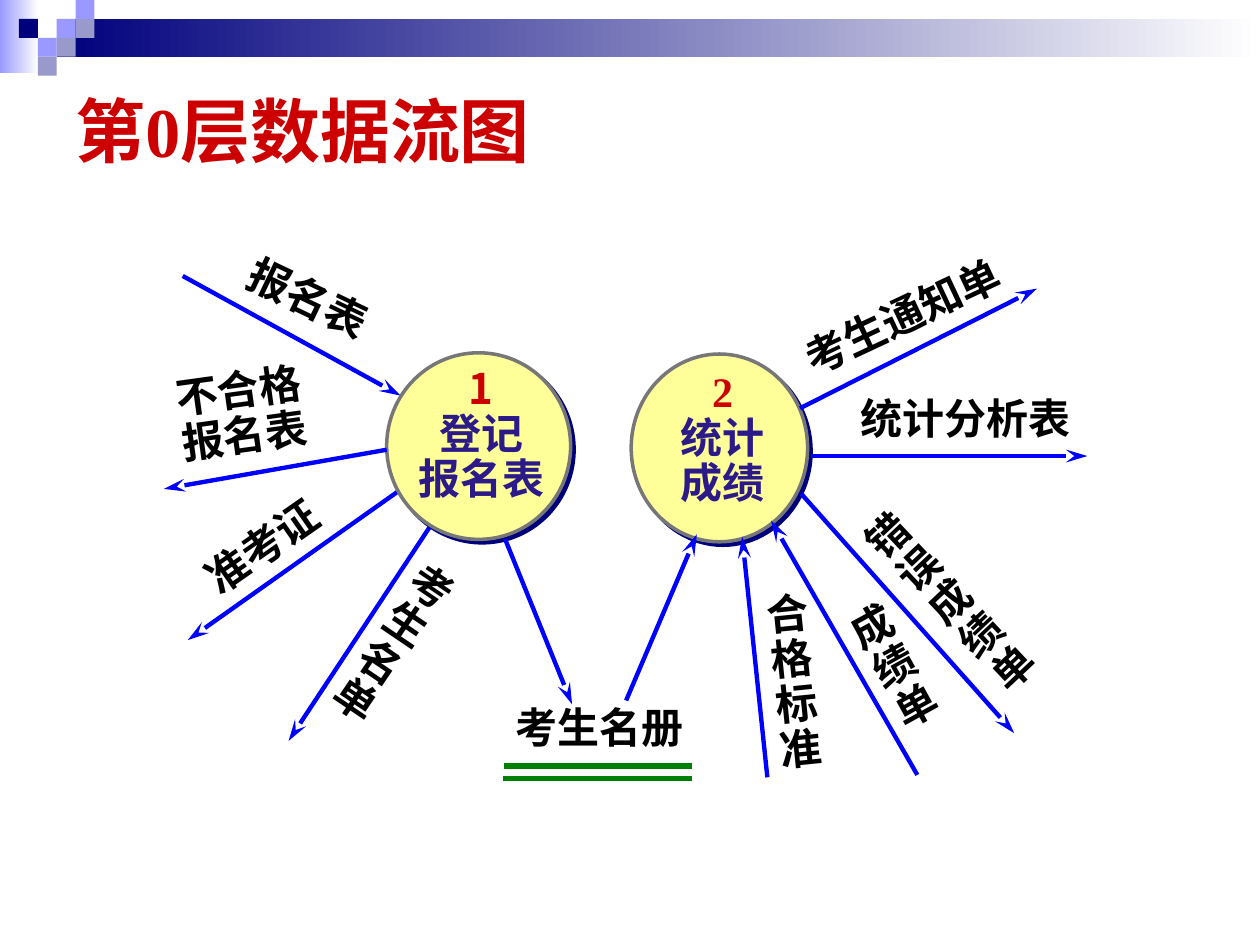
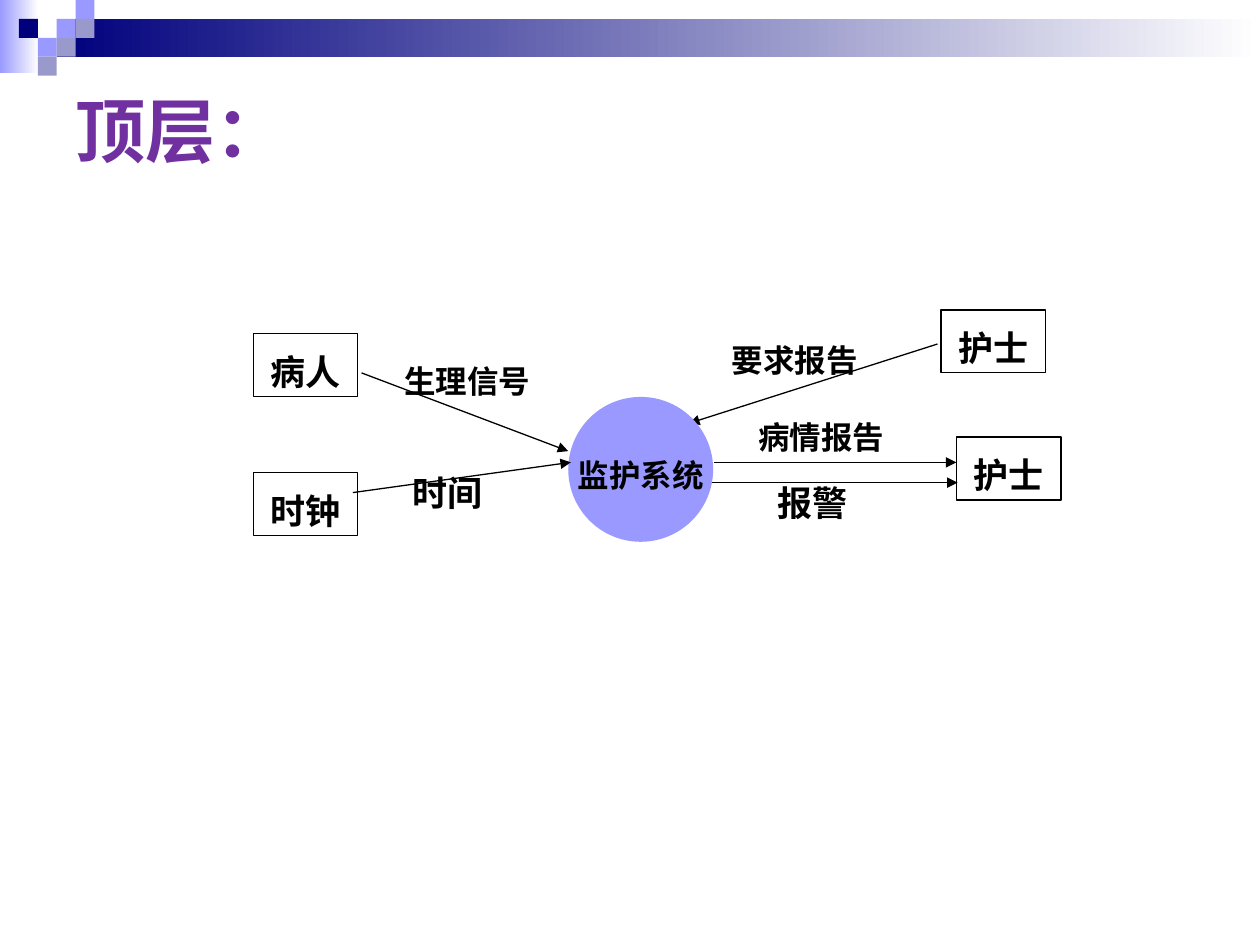
from dataclasses import dataclass
from typing import NamedTuple

from lxml import etree
from pptx import Presentation
from pptx.dml.color import RGBColor
from pptx.enum.shapes import MSO_CONNECTOR, MSO_SHAPE
from pptx.enum.text import MSO_ANCHOR, PP_ALIGN
from pptx.oxml.ns import qn
from pptx.util import Pt

RECT, OVAL = MSO_SHAPE.RECTANGLE, MSO_SHAPE.OVAL
LINE = MSO_CONNECTOR.STRAIGHT
LEFT, MID = PP_ALIGN.LEFT, PP_ALIGN.CENTER
TOP, CENTRE = MSO_ANCHOR.TOP, MSO_ANCHOR.MIDDLE

SANS, GOTHIC, SERIF = "Noto Sans CJK SC", "Noto Sans CJK JP", "Times New Roman"
NAVY, LILAC, GREY = "00007D", "9999FF", "9999CC"
WHITE, BLACK, RED, PURPLE = "FFFFFF", "000000", "CC0000", "7030A0"
BLUE, GREEN, INDIGO = "0000FF", "008000", "2C1A88"
YELLOW, RIM = "FFFF99", "777777"
UNIT = 10.8  # side of one square in the corner mosaic


class Box(NamedTuple):
    x: float
    y: float
    w: float
    h: float


class Run(NamedTuple):
    text: str
    font: str = SANS
    color: str = BLACK


@dataclass
class Label:
    box: Box
    lines: list[Run]
    size: float = 24
    turn: float = 0
    align: int = LEFT
    anchor: int = TOP
    space: float = 0.9
    before: float = 0
    wrap: bool = True


@dataclass
class Pen:
    color: str
    width: float
    tip: str = ""
    reach: str = "med"


@dataclass
class Node:
    box: Box
    kind: int
    fill: str = ""
    edge: str = ""
    width: float = 0.75
    shade: bool = False


FLOW = Pen(BLUE, 2.5, "stealth", "lg")
STORE = Pen(GREEN, 3)
THIN = Pen(BLACK, 0.75, "triangle")


def rgb(code: str) -> RGBColor:
    return RGBColor.from_string(code)


def pts(values) -> list:
    return [Pt(v) for v in values]


def write(shape, label: Label) -> None:
    frame = shape.text_frame
    frame.word_wrap = label.wrap
    frame.vertical_anchor = label.anchor
    frame.margin_left = frame.margin_right = Pt(7.2)
    frame.margin_top = frame.margin_bottom = Pt(3.6)
    for i, item in enumerate(label.lines):
        para = frame.add_paragraph() if i else frame.paragraphs[0]
        para.alignment = label.align
        para.line_spacing = label.space
        para.space_before = Pt(label.before * label.size)
        run = para.add_run()
        run.text = item.text
        font = run.font
        font.name, font.size, font.bold = item.font, Pt(label.size), True
        font.color.rgb = rgb(item.color)
        east = SANS if item.font == SERIF else item.font
        etree.SubElement(run._r.rPr, qn("a:ea"), typeface=east)


def add_label(slide, label: Label) -> None:
    shape = slide.shapes.add_textbox(*pts(label.box))
    shape.rotation = label.turn
    write(shape, label)


def add_shade(shape) -> None:
    """Give the shape a hard navy shadow, down and to the right."""
    effects = shape._element.spPr.find(qn("a:effectLst"))
    shade = etree.SubElement(effects, qn("a:outerShdw"), blurRad="0",
                             dist=str(Pt(2.8)), dir="2700000", algn="ctr", rotWithShape="0")
    etree.SubElement(shade, qn("a:srgbClr"), val=NAVY)


def add_node(slide, node: Node):
    shape = slide.shapes.add_shape(node.kind, *pts(node.box))
    shape.shadow.inherit = False
    if node.fill:
        shape.fill.solid()
        shape.fill.fore_color.rgb = rgb(node.fill)
    else:
        shape.fill.background()
    if node.edge:
        shape.line.color.rgb = rgb(node.edge)
        shape.line.width = Pt(node.width)
    else:
        shape.line.fill.background()
    if node.shade:
        add_shade(shape)
    return shape


def add_lines(slide, pen: Pen, ends: list) -> None:
    for end in ends:
        link = slide.shapes.add_connector(LINE, *pts(end))
        link.line.color.rgb = rgb(pen.color)
        link.line.width = Pt(pen.width)
        if pen.tip:
            etree.SubElement(link.line._get_or_add_ln(), qn("a:tailEnd"),
                             type=pen.tip, w="med", len=pen.reach)
        etree.SubElement(link._element.spPr, qn("a:effectLst"))


def add_fade(slide, box: Box, color: str) -> None:
    """Draw a band that fades to white from left to right."""
    fill = add_node(slide, Node(box, RECT, color)).fill
    fill.gradient()
    fill.gradient_angle = 0
    for stop, code in zip(fill.gradient_stops, (color, WHITE)):
        stop.color.rgb = rgb(code)


def add_base(deck, title: Run):
    """Add a blank slide with the corner mosaic, the band and a title."""
    slide = deck.slides.add_slide(deck.slide_layouts[6])
    add_fade(slide, Box(0, 0, 22, 42), LILAC)
    add_fade(slide, Box(3 * UNIT, UNIT, 720 - 3 * UNIT, 2 * UNIT), NAVY)
    tiles = [(3, 1, LILAC), (4, 0, LILAC), (4, 1, GREY), (2, 2, LILAC),
             (1, 1, NAVY), (3, 2, GREY), (2, 3, GREY)]
    for col, row, color in tiles:
        add_node(slide, Node(Box(col * UNIT, row * UNIT, UNIT, UNIT), RECT, color))
    add_label(slide, Label(Box(36, 36, 648, 75.6), [title], 40, anchor=CENTRE, space=1))
    return slide


def draw_level(deck) -> None:
    slide = add_base(deck, Run("第0层数据流图", SERIF, RED))
    add_lines(slide, FLOW, [
        (104.4, 157.7, 229, 226.1),
        (227.5, 280.8, 107.3, 365.8),
        (246.2, 300.2, 164.9, 423.4),
    ])
    steps = [
        (Box(221, 201.6, 105.1, 106.6), Box(224.6, 206.6, 100.8, 85), "1", SANS, "登记", "报名表"),
        (Box(360.7, 202.3, 100.8, 107.3), Box(375.8, 208.8, 74.2, 85), "2", SERIF, "统计", "成绩"),
    ]
    for disc, area, mark, font, verb, noun in steps:
        add_node(slide, Node(disc, OVAL, YELLOW, RIM, 2, True))
        lines = [Run(mark, font, RED), Run(verb, SANS, INDIGO), Run(noun, SANS, INDIGO)]
        add_label(slide, Label(area, lines, align=MID))
    add_lines(slide, FLOW, [
        (288.7, 308.2, 326.9, 402.5),
        (357.8, 400.3, 398.2, 305.3),
        (457.2, 233.3, 592.6, 164.9),
        (438.5, 444.2, 424.1, 306.7),
        (457.9, 282.2, 579.6, 419),
        (463.7, 260.6, 621.4, 260.6),
        (524.2, 442.8, 440.6, 297.4),
        (221, 257, 93.6, 279.4),
    ])
    add_lines(slide, STORE, [(288, 437.8, 395.3, 437.8), (287.3, 445, 395.3, 445)])

    flat = [
        (Box(133.2, 152.6, 89.3, 36), "报名表", 25.5),
        (Box(105.8, 291.6, 94.3, 36), "准考证", 325.1),
        (Box(448.6, 162, 136.1, 36), "考生通知单", 334.9),
        (Box(484.6, 221, 170.6, 36), "统计分析表", 0),
    ]
    for box, text, turn in flat:
        add_label(slide, Label(box, [Run(text)], turn=turn, space=1))
    tall = [
        (Box(492.5, 339.1, 38.2, 85), "成绩单", 331.2),
        (Box(434.9, 334.8, 45.4, 110.9), "合格标准", 354.2),
        (Box(205.2, 313.2, 38.2, 110.9), "考生名单", 34.1),
        (Box(524.9, 276.5, 38.2, 136.8), "错误成绩单", 316.7),
    ]
    for box, text, turn in tall:
        add_label(slide, Label(box, [Run(sign) for sign in text], turn=turn))
    add_label(slide, Label(Box(95, 207.4, 90.7, 59), [Run("不合格"), Run("报名表")], turn=352.1))
    add_label(slide, Label(Box(287.3, 400.3, 110.9, 33.1), [Run("考生名册")], wrap=False))


def draw_top(deck) -> None:
    slide = add_base(deck, Run("顶层：", GOTHIC, PURPLE))
    add_lines(slide, THIN, [
        (206.6, 213.1, 324.7, 257.8),
        (535.7, 196.6, 393.8, 241.9),
        (408.2, 264.2, 546.5, 264.2),
        (405.4, 275.8, 547.2, 275.8),
    ])
    actors = [
        (144.7, 190.8, Run("病人")),
        (546.5, 249.8, Run("护士", SERIF)),
        (537.8, 177.1, Run("护士")),
        (144.7, 270, Run("时钟")),
    ]
    nodes = [(Node(Box(x, y, 59.8, 36), RECT, edge=BLACK), run, 20) for x, y, run in actors]
    core = Node(Box(324.7, 226.8, 82.8, 82.8), OVAL, LILAC)
    nodes.append((core, Run("监护系统", SERIF), 18))
    for node, run, size in nodes:
        write(add_node(slide, node), Label(node.box, [run], size, align=MID, anchor=CENTRE,
                                           space=1.3, before=0.2, wrap=False))
    add_lines(slide, THIN, [(201.6, 281.5, 326.2, 264.2)])
    notes = [
        (Box(223.9, 196.6, 108, 35.3), Run("生理信号"), 18, 0.5, True),
        (Box(411.1, 185, 86.4, 35.3), Run("要求报告", SERIF), 18, 0.2, False),
        (Box(426.2, 229, 86.4, 35.3), Run("病情报告"), 18, 0.2, False),
        (Box(437, 264.2, 54.7, 38.2), Run("报警", SERIF), 20, 0.2, True),
        (Box(223.9, 258.5, 73.4, 38.2), Run(" 时间"), 20, 0.5, True),
    ]
    for box, run, size, before, wrap in notes:
        add_label(slide, Label(box, [run], size, space=1.3, before=before, wrap=wrap))


def main() -> None:
    deck = Presentation()
    deck.slide_width, deck.slide_height = Pt(720), Pt(540)
    draw_level(deck)
    draw_top(deck)
    deck.save("out.pptx")


if __name__ == "__main__":
    main()
